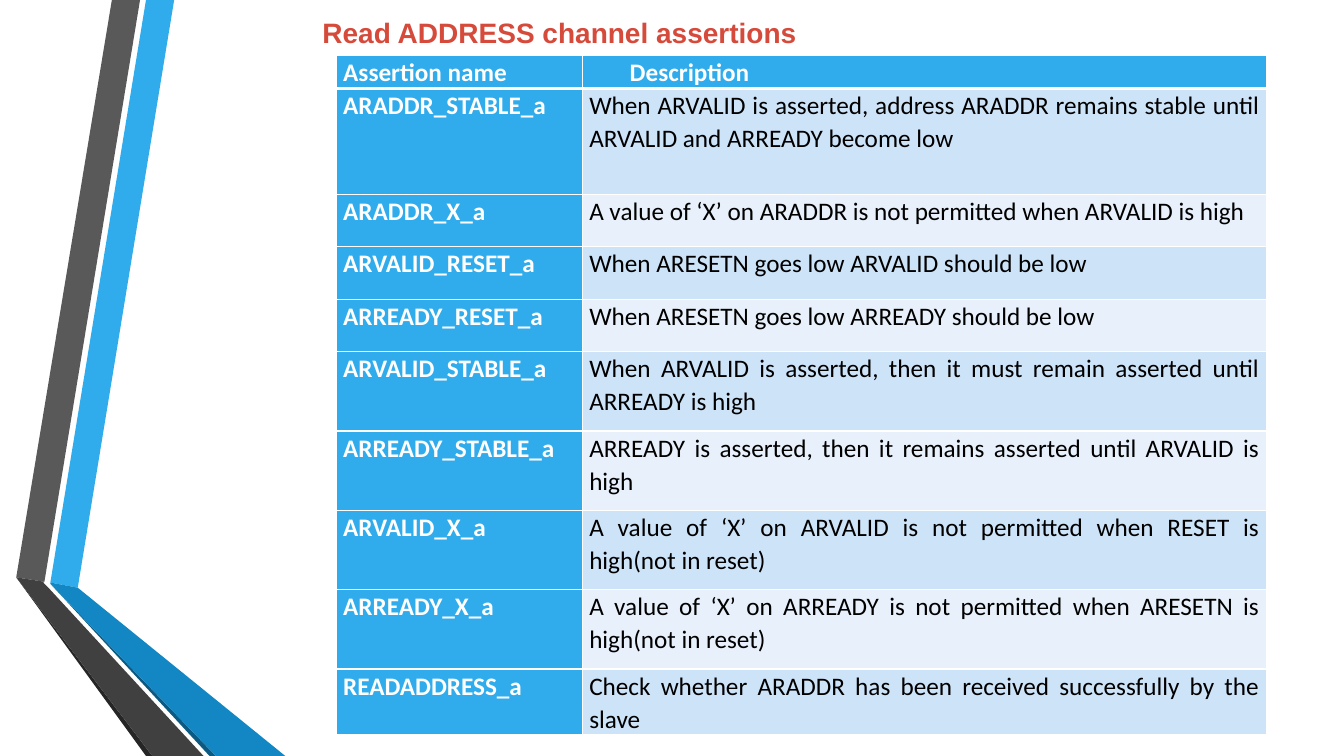
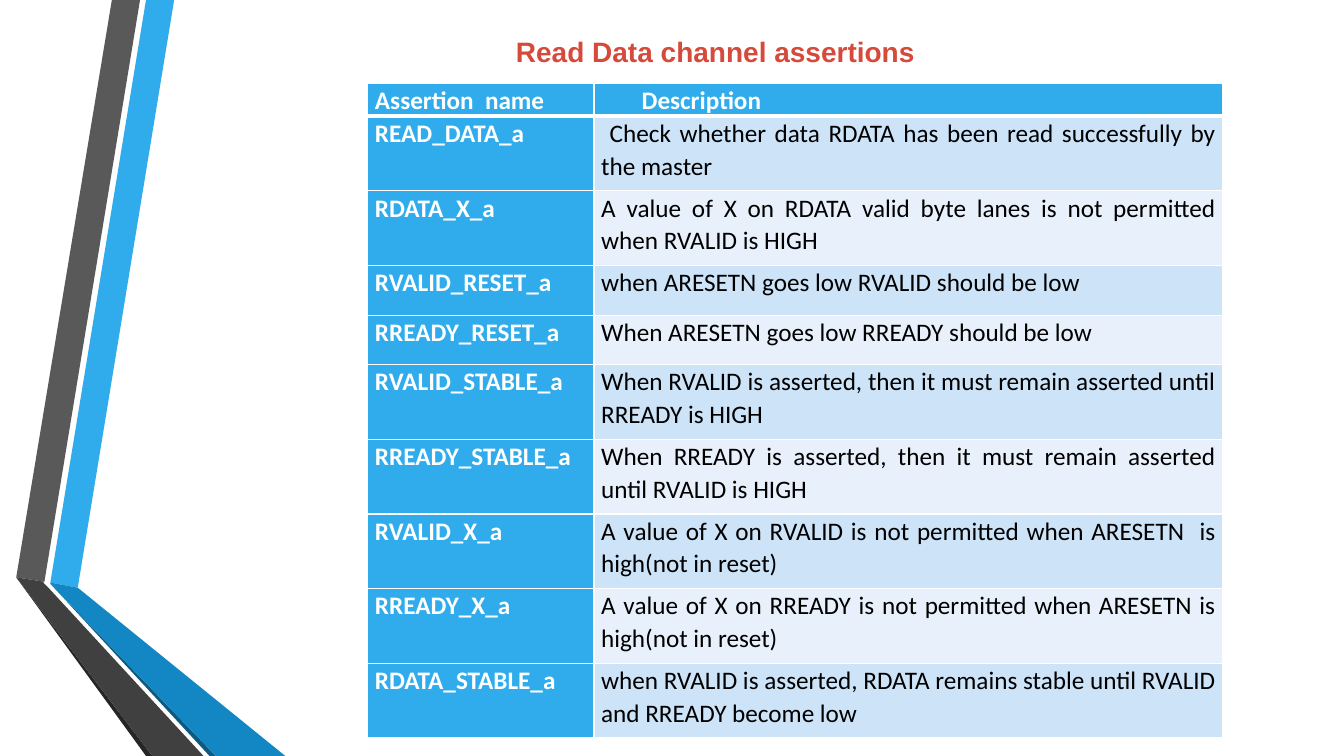
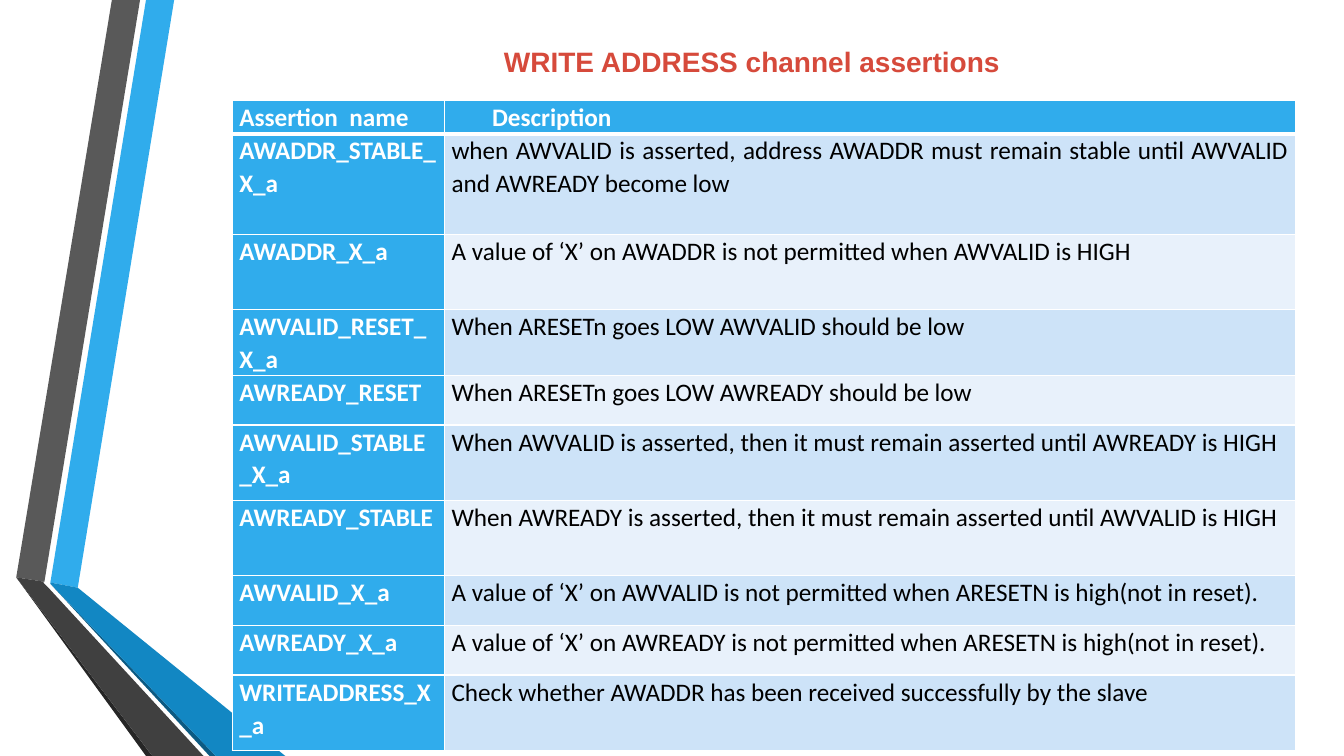
from dataclasses import dataclass

from lxml.etree import SubElement, fromstring
from pptx import Presentation
from pptx.dml.color import RGBColor
from pptx.enum.text import MSO_ANCHOR as Anchor, MSO_AUTO_SIZE as AutoSize, PP_ALIGN as Align
from pptx.oxml.ns import qn
from pptx.util import Cm, Pt


@dataclass(frozen=True)
class Theme:
    accent: str = "30ACEC"
    accent_dark: str = "1287C3"
    accent_deep: str = "0C5A82"
    grey: str = "595959"
    grey_dark: str = "404040"
    grey_deep: str = "262626"
    title: str = "D64A3B"
    white: str = "FFFFFF"
    black: str = "000000"
    bands: tuple = ("CDE3F8", "E8F1FB")
    title_font: str = "Arial"
    body_font: str = "Calibri"
    title_size: int = 20
    body_size: int = 18
    line_spacing: float = 1.07
    border: int = 1
    header_border: int = 3


THEME = Theme()

RIBBONS = [
    (THEME.accent, [(1.27, 14.68), (1.96, 14.81), (4.39, 0), (3.68, 0)]),
    (THEME.grey, [(3.53, 0), (2.82, 0), (0.41, 14.55), (1.12, 14.66)]),
    (THEME.grey_deep, [(0.41, 14.55), (3.68, 19.05), (3.84, 19.05)]),
    (THEME.accent_deep, [(1.27, 14.71), (5.28, 19.05), (5.44, 19.05)]),
    (THEME.accent_dark, [(1.27, 14.71), (5.44, 19.05), (7.19, 19.05), (1.96, 14.81), (1.27, 14.68)]),
    (THEME.grey_dark, [(5.13, 19.05), (1.22, 14.81), (1.09, 14.68), (1.12, 14.66),
                       (0.41, 14.55), (3.84, 19.05)]),
]

SLIDES = [
    {
        "title": ("Read ADDRESS channel assertions", (7.87, 0.25, 21.84, 1.12), Align.JUSTIFY),
        "at": (8.47, 1.4),
        "cols": (6.2, 17.25),
        "rows": [
            ("Assertion name", "Description", 0.62),
            ("ARADDR_STABLE_a", "When ARVALID is asserted, address ARADDR remains stable until ARVALID and ARREADY become low", 2.67),
            ("ARADDR_X_a", "A value of ‘X’ on ARADDR is not permitted when ARVALID is high", 1.32),
            ("ARVALID_RESET_a", "When ARESETN goes low ARVALID should be low", 1.32),
            ("ARREADY_RESET_a", "When ARESETN goes low ARREADY should be low", 1.32),
            ("ARVALID_STABLE_a", "When ARVALID is asserted, then it must remain asserted until ARREADY is high", 2),
            ("ARREADY_STABLE_a", "ARREADY is asserted, then it remains asserted until ARVALID is high", 2),
            ("ARVALID_X_a", "A value of ‘X’ on ARVALID is not permitted when RESET is high(not in reset)", 2),
            ("ARREADY_X_a", "A value of ‘X’ on ARREADY is not permitted when ARESETN is high(not in reset)", 2),
            ("READADDRESS_a", "Check whether ARADDR has been received successfully by the slave", 1.32),
        ],
    },
    {
        "title": ("Read Data channel assertions", (4.11, 0.53, 27.84, 1.55), Align.CENTER),
        "at": (9.27, 2.1),
        "cols": (5.7, 15.85),
        "rows": [
            ("Assertion  name", "Description", 0.62),
            ("READ_DATA_a", " Check whether data RDATA has been read successfully by the master", 1.88),
            ("RDATA_X_a", "A value of X on RDATA valid byte lanes is not permitted when RVALID is HIGH", 1.88),
            ("RVALID_RESET_a", "when ARESETN goes low RVALID should be low", 1.25),
            ("RREADY_RESET_a", "When ARESETN goes low RREADY should be low", 1.25),
            ("RVALID_STABLE_a", "When RVALID is asserted, then it must remain asserted until RREADY is HIGH", 1.88),
            ("RREADY_STABLE_a", "When RREADY is asserted, then it must remain asserted until RVALID is HIGH", 1.88),
            ("RVALID_X_a", "A value of X on RVALID is not permitted when ARESETN  is high(not in reset)", 1.88),
            ("RREADY_X_a", "A value of X on RREADY is not permitted when ARESETN is high(not in reset)", 1.88),
            ("RDATA_STABLE_a", "when RVALID is asserted, RDATA remains stable until RVALID and RREADY become low", 1.88),
        ],
    },
    {
        "title": ("WRITE ADDRESS channel assertions", (4.5, 0.76, 28.9, 1.55), Align.CENTER),
        "at": (5.85, 2.54),
        "cols": (5.35, 21.45),
        "rows": [
            ("Assertion  name", "Description", 0.62),
            ("AWADDR_STABLE_X_a", "when AWVALID is asserted, address AWADDR must remain stable until AWVALID and AWREADY become low", 2.53),
            ("AWADDR_X_a", "A value of ‘X’ on AWADDR is not permitted when AWVALID is HIGH", 1.9),
            ("AWVALID_RESET_X_a", "When ARESETn goes LOW AWVALID should be low", 1.25),
            ("AWREADY_RESET", "When ARESETn goes LOW AWREADY should be low", 1.25),
            ("AWVALID_STABLE_X_a", "When AWVALID is asserted, then it must remain asserted until AWREADY is HIGH", 1.9),
            ("AWREADY_STABLE", "When AWREADY is asserted, then it must remain asserted until AWVALID is HIGH", 1.9),
            ("AWVALID_X_a", "A value of ‘X’ on AWVALID is not permitted when ARESETN is high(not in reset).", 1.25),
            ("AWREADY_X_a", "A value of ‘X’ on AWREADY is not permitted when ARESETN is high(not in reset).", 1.25),
            ("WRITEADDRESS_X_a", "Check whether AWADDR has been received successfully by the slave", 1.9),
        ],
    },
]


def apply(obj, values):
    for name, value in values.items():
        setattr(obj, name, value)


class Deck:
    def __init__(self, theme):
        self.theme = theme
        self.prs = Presentation()
        apply(self.prs, {"slide_width": Cm(33.87), "slide_height": Cm(19.05)})
        self.layout = self.prs.slide_layouts[5]
        self.s = None

    def slide(self):
        self.s = self.prs.slides.add_slide(self.layout)

    def ribbons(self, ribbons):
        for i, (color, points) in enumerate(ribbons):
            start, *rest = [(Cm(x), Cm(y)) for x, y in points]
            builder = self.s.shapes.build_freeform(*start)
            builder.add_line_segments(rest, close=True)
            sp = builder.convert_to_shape()
            sp.name = f"Ribbon {i + 1}"
            sp.shadow.inherit = False
            sp.fill.solid()
            sp.fill.fore_color.rgb = RGBColor.from_string(color)
            sp.line.fill.background()
            sp.element.xpath("./p:nvSpPr/p:cNvPr")[0].set("id", str(20 + i))
            self.layout.shapes.element.append(sp.element)

    def text(self, tf, text, font, size, color, bold, align):
        p = tf.paragraphs[0]
        p.alignment = align
        r = p.add_run()
        r.text = text
        apply(r.font, {"name": font, "size": Pt(size), "bold": bold})
        r.font.color.rgb = RGBColor.from_string(color)
        return p

    def title(self, text, box, align):
        t = self.theme
        sp = self.s.shapes.title
        apply(sp, dict(zip(("left", "top", "width", "height"), map(Cm, box))))
        tf = sp.text_frame
        apply(tf, {"vertical_anchor": Anchor.MIDDLE, "auto_size": AutoSize.NONE, "word_wrap": True})
        self.text(tf, text, t.title_font, t.title_size, t.title, True, align)

    def borders(self, cell, top, bottom):
        tcPr = cell._tc.get_or_add_tcPr()
        widths = {"lnL": self.theme.border, "lnR": self.theme.border, "lnT": top, "lnB": bottom}
        for i, (tag, width) in enumerate(widths.items()):
            ln = fromstring(f'<a:{tag} xmlns:a="http://schemas.openxmlformats.org/drawingml/2006/main"/>')
            ln.set("w", str(Pt(width)))
            fill = SubElement(ln, qn("a:solidFill"))
            SubElement(fill, qn("a:srgbClr")).set("val", self.theme.white)
            tcPr.insert(i, ln)

    def cell(self, cell, text, row, col):
        t = self.theme
        strong = row == 0 or col == 0
        indent = 1.2 if row == 0 and col == 1 else 0.18
        apply(cell, {"margin_left": Cm(indent), "margin_right": Cm(0.18), "margin_top": 0,
                     "margin_bottom": 0, "vertical_anchor": Anchor.TOP})
        cell.fill.solid()
        cell.fill.fore_color.rgb = RGBColor.from_string(t.accent if strong else t.bands[(row - 1) % 2])
        p = self.text(cell.text_frame, text, t.body_font, t.body_size,
                      t.white if strong else t.black, strong, Align.JUSTIFY)
        p.line_spacing = t.line_spacing
        self.borders(cell, t.header_border if row == 1 else t.border,
                     t.header_border if row == 0 else t.border)

    def table(self, at, cols, rows):
        height = sum(row[-1] for row in rows)
        frame = self.s.shapes.add_table(len(rows), len(cols), *map(Cm, (*at, sum(cols), height)))
        table = frame.table
        for column, width in zip(table.columns, cols):
            column.width = Cm(width)
        for i, (*texts, row_height) in enumerate(rows):
            table.rows[i].height = Cm(row_height)
            for j, text in enumerate(texts):
                self.cell(table.cell(i, j), text, i, j)


def main():
    deck = Deck(THEME)
    for i, content in enumerate(SLIDES):
        deck.slide()
        if i == 0:
            deck.ribbons(RIBBONS)
        deck.title(*content["title"])
        deck.table(content["at"], content["cols"], content["rows"])
    deck.prs.save("out.pptx")


if __name__ == "__main__":
    main()
